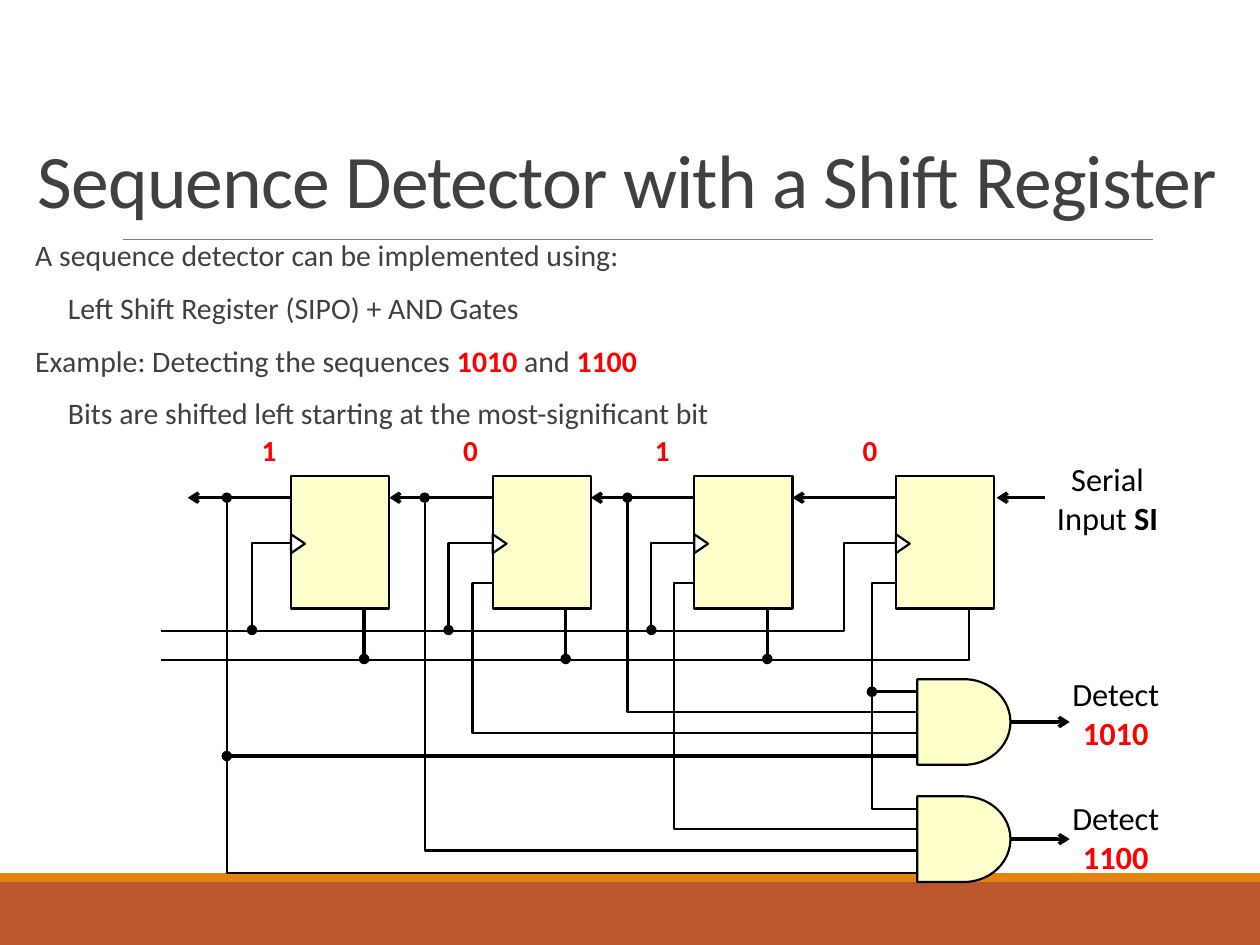
from lxml import etree
from pptx import Presentation
from pptx.dml.color import RGBColor
from pptx.enum import shapes, text
from pptx.oxml.ns import qn
from pptx.util import Inches, Pt

BLACK, RED, GREY, CREAM = "000000", "FF0000", "404040", "FFFFCC"
PITCH, REG_W, REG_H = 1.6, 0.78, 1.05
GATE_X, GATE_W, GATE_H = 6.0, 0.74, 0.68


def rgb(value):
    return RGBColor.from_string(value)


def set_line(sp, width=1.25, color=BLACK, head=None, tail=None):
    sp.line.color.rgb = rgb(color)
    sp.line.width = Pt(width)
    ln = sp.line._get_or_add_ln()
    for tag, kind in (("a:headEnd", head), ("a:tailEnd", tail)):
        if kind:
            etree.SubElement(ln, qn(tag), type=kind)


def add_block(s, kind, x, y, w, h, fill, outlined=True):
    sp = s.shapes.add_shape(kind, Inches(x), Inches(y), Inches(w), Inches(h))
    sp.shadow.inherit = False
    sp.fill.solid()
    sp.fill.fore_color.rgb = rgb(fill)
    if outlined:
        set_line(sp)
    else:
        sp.line.fill.background()
    return sp


def add_line(s, x1, y1, x2, y2, width=2, **style):
    line = s.shapes.add_connector(shapes.MSO_CONNECTOR.STRAIGHT,
                                  Inches(x1), Inches(y1), Inches(x2), Inches(y2))
    set_line(line, width, **style)
    etree.SubElement(line._element.spPr, qn("a:effectLst"))
    return line


def add_wire(s, x, y, points, head=None):
    """Bent wire through points given relative to (x, y)."""
    pts = [(Inches(x + px), Inches(y + py)) for px, py in points]
    builder = s.shapes.build_freeform(*pts[0])
    builder.add_line_segments(pts[1:], close=False)
    sp = builder.convert_to_shape()
    sp.shadow.inherit = False
    sp.fill.background()
    set_line(sp, head=head)


def add_text(s, x, y, w, h, paragraphs, size, color=BLACK, inset=(0, 0),
             anchor=text.MSO_ANCHOR.MIDDLE, align=text.PP_ALIGN.CENTER, wrap=True):
    """Each paragraph is a list of (words, bold colour or None) runs."""
    tf = s.shapes.add_textbox(Inches(x), Inches(y), Inches(w), Inches(h)).text_frame
    tf.word_wrap = wrap
    tf.vertical_anchor = anchor
    tf.margin_left = tf.margin_right = Inches(inset[0])
    tf.margin_top = tf.margin_bottom = Inches(inset[1])
    for i, runs in enumerate(paragraphs):
        p = tf.add_paragraph() if i else tf.paragraphs[0]
        p.alignment = align
        for words, bold_color in runs:
            r = p.add_run()
            r.text = words
            r.font.name = "Calibri"
            r.font.size = Pt(size)
            r.font.bold = bold_color is not None
            r.font.color.rgb = rgb(bold_color or color)
    return tf


def add_background(s, w, h):
    rect = shapes.MSO_SHAPE.RECTANGLE
    add_block(s, rect, 0, h - 0.5, w, 0.5, "BD582C", outlined=False)
    add_block(s, rect, 0, h - 0.57, w, 0.07, "E48312", outlined=False)
    add_line(s, 0.98, 1.9, 9.15, 1.9, 0.5, color="808080")


def add_title(s, x, y, w, h):
    tf = add_text(s, x, y, w, h, [[("Sequence Detector with a Shift Register", None)]],
                  43.2, GREY, (0.1, 0.05), text.MSO_ANCHOR.BOTTOM, text.PP_ALIGN.LEFT)
    p = tf.paragraphs[0]
    p.line_spacing = 0.85
    p.runs[0].font._element.set("spc", "-50")


def add_body(s, x, y, w, h):
    paragraphs = [
        [("A sequence detector can be implemented using:", None)],
        [("Left Shift Register (SIPO) + AND Gates", None)],
        [("Example: Detecting the sequences ", None), ("1010", RED),
         (" and ", None), ("1100", RED)],
        [("Bits are shifted left starting at the most-significant bit", None)],
    ]
    tf = add_text(s, x, y, w, h, paragraphs, 17, GREY, (0, 0.05),
                  text.MSO_ANCHOR.TOP, text.PP_ALIGN.LEFT)
    for i, p in enumerate(tf.paragraphs):
        p.line_spacing = 0.7
        p.space_before = Pt(13.8 if i else 0)
        p.space_after = Pt(2)
        p._p.get_or_add_pPr().set("marL", str(Inches(0.36 if i % 2 else 0.1)))


def add_register(s, x, y):
    add_block(s, shapes.MSO_SHAPE.RECTANGLE, x, y, REG_W, REG_H, CREAM)
    clock = add_block(s, shapes.MSO_SHAPE.ISOSCELES_TRIANGLE,
                      x - 0.02, y + 0.48, 0.15, 0.11, "FFFFFF")
    clock.rotation = 90
    add_line(s, x, y + 0.17, x + REG_W - PITCH, y + 0.17, tail="arrow")


def add_gate(s, x, y, code, label_y):
    gate = add_block(s, shapes.MSO_SHAPE.FLOWCHART_DELAY, x, y, GATE_W, GATE_H, CREAM)
    mid = y + GATE_H / 2
    out = add_line(s, x + GATE_W, mid, x + 1.21, mid, tail="arrow")
    out.begin_connect(gate, 3)
    add_text(s, x + 1.07, label_y, 1.01, 0.58, [[("Detect", None)], [(code, RED)]], 18.5)


def add_wiring(s, x, y, lefts):
    """Clock, reset and gate input wires; lefts are the registers' left edges."""
    add_wire(s, x, y, [(0, 1.56), (5.42, 1.56), (5.42, 0.86), (lefts[3], 0.86)])
    add_wire(s, x, y, [(6.41, 1.38), (6.41, 1.79), (0, 1.79)])
    for tap, left in zip((0.72, 2.28, 3.89), lefts):
        add_wire(s, x, y, [(tap, 1.55), (tap, 0.86), (left, 0.86)], head="oval")
        reset_x = x + left + 0.58
        add_line(s, reset_x, y + 1.78, reset_x, y + 1.38, head="oval")
    for tap, end_y in ((0.52, 3.48), (2.09, 3.3), (3.7, 2.2)):
        add_wire(s, x, y, [(tap, 0.5), (tap, end_y), (GATE_X, end_y)], head="oval")
    for left, tap, end_y in zip(lefts[1:], (2.47, 4.07, 5.64), (2.37, 3.13, 2.97)):
        add_wire(s, x, y, [(left, 1.18), (tap, 1.18), (tap, end_y), (GATE_X, end_y)])
    for tap, tap_y in ((0.52, 2.55), (5.64, 2.04)):
        add_line(s, x + tap, y + tap_y, x + GATE_X, y + tap_y, head="oval")


def add_circuit(s, x, y):
    lefts = [1.03 + PITCH * i for i in range(4)]
    add_wiring(s, x, y, lefts)
    for left, bit, bit_x in zip(lefts, "1010", (0.72, 2.32, 3.84, 5.49)):
        add_register(s, x + left, y + 0.33)
        add_text(s, x + bit_x, y, 0.27, 0.24, [[(bit, RED)]], 16.6, wrap=False)
    add_line(s, x + 7.01, y + 0.5, x + 6.63, y + 0.5, tail="arrow")
    add_text(s, x + 7.09, y + 0.21, 0.84, 0.58,
             [[("Serial Input ", None), ("SI", BLACK)]], 18.5)
    for code, gate_y, label_y in (("1010", 1.94, 1.92), ("1100", 2.87, 2.9)):
        add_gate(s, x + GATE_X, y + gate_y, code, y + label_y)


def main():
    prs = Presentation()
    prs.slide_width, prs.slide_height = Inches(10), Inches(7.5)
    s = prs.slides.add_slide(prs.slide_layouts[6])
    add_background(s, 10, 7.5)
    add_title(s, 0.2, 0.58, 9.89, 1.25)
    add_body(s, 0.18, 1.91, 6.93, 1.6)
    add_circuit(s, 1.28, 3.45)
    prs.save("out.pptx")


if __name__ == "__main__":
    main()
